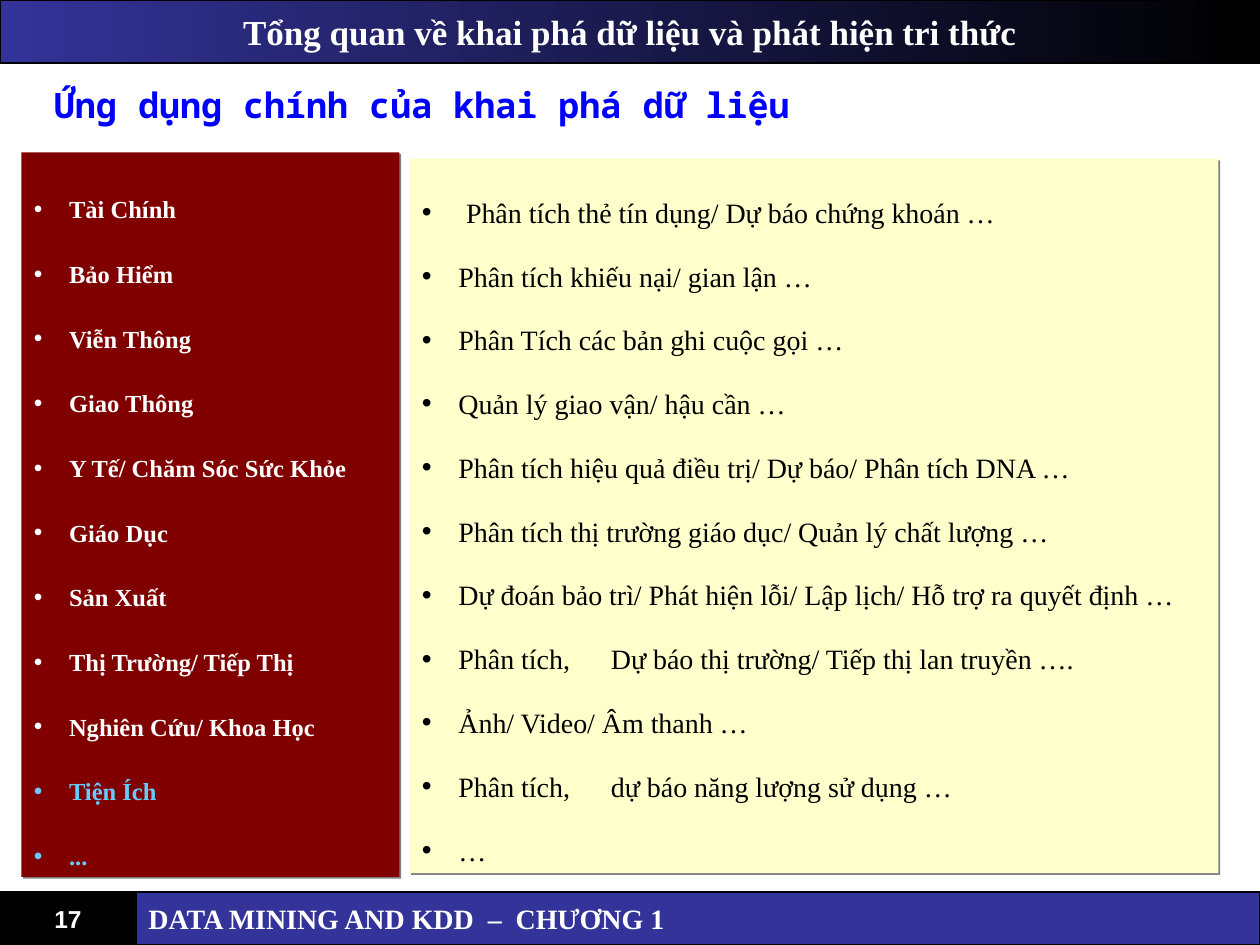
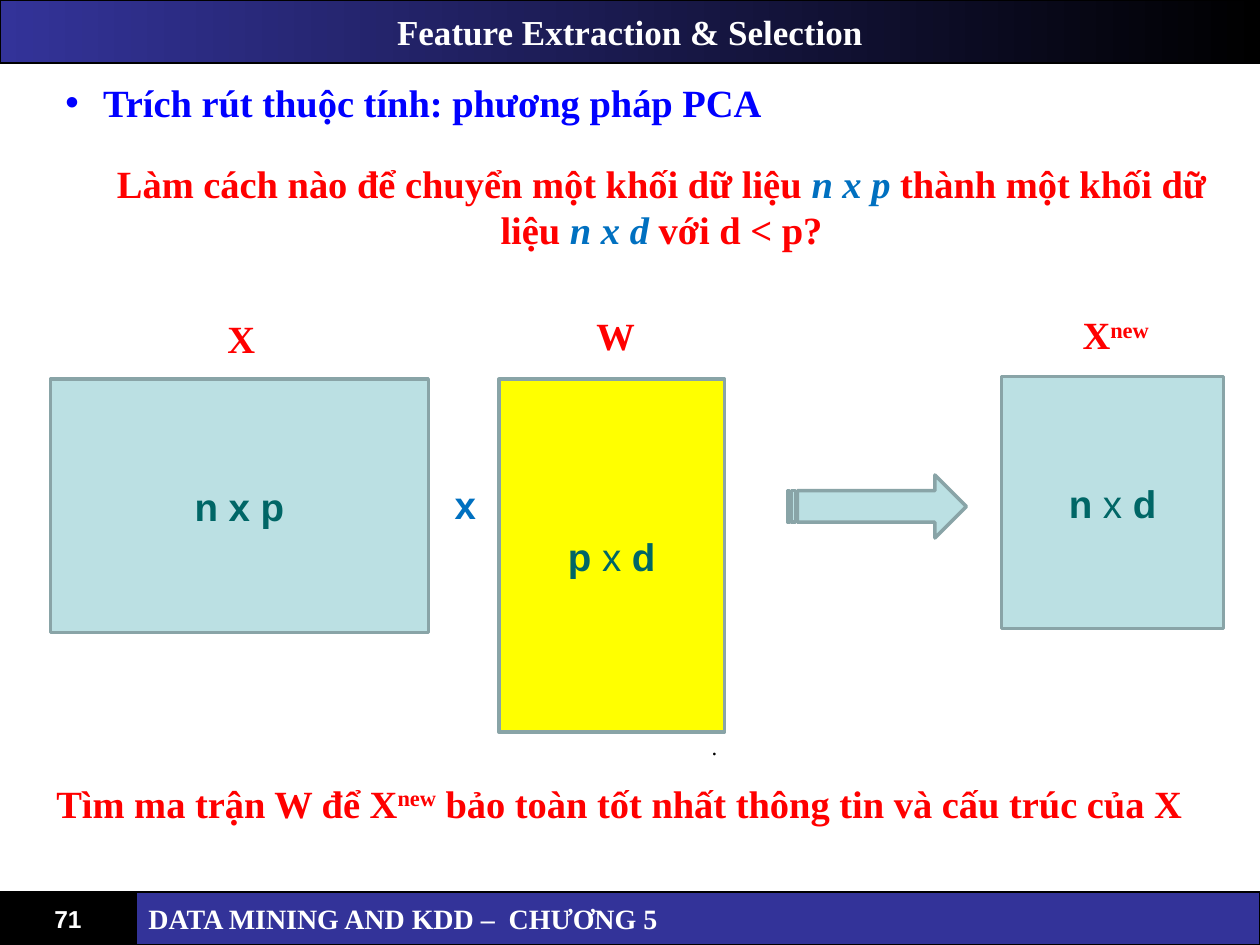
from lxml import etree
from pptx import Presentation
from pptx.dml.color import RGBColor
from pptx.enum.shapes import MSO_SHAPE
from pptx.enum.text import MSO_ANCHOR, PP_ALIGN
from pptx.oxml import ns
from pptx.util import Inches, Pt

COLORS = {
    "black": "000000", "white": "FFFFFF", "navy": "333399", "blue": "0000FF",
    "maroon": "800000", "cream": "FFFFCC", "sky": "66CCFF", "shadow": "808080",
    "red": "FF0000", "math": "0070C0", "teal": "006666", "pale": "BBE0E3",
    "yellow": "FFFF00", "outline": "89A4A7",
}
SERIF, SANS, MONO = "Times New Roman", "Arial", "Noto Sans Mono"

FIELDS = [
    "Tài Chính", "Bảo Hiểm", "Viễn Thông", "Giao Thông",
    "Y Tế/ Chăm Sóc Sức Khỏe", "Giáo Dục", "Sản Xuất",
    "Thị Trường/ Tiếp Thị", "Nghiên Cứu/ Khoa Học", "Tiện Ích", "...",
]
HIGHLIGHTED_FIELDS = FIELDS[-2:]
USES = [
    "Phân tích thẻ tín dụng/ Dự báo chứng khoán …",
    "Phân tích khiếu nại/ gian lận …",
    "Phân Tích các bản ghi cuộc gọi …",
    "Quản lý giao vận/ hậu cần …",
    "Phân tích hiệu quả điều trị/ Dự báo/ Phân tích DNA …",
    "Phân tích thị trường giáo dục/ Quản lý chất lượng …",
    "Dự đoán bảo trì/ Phát hiện lỗi/ Lập lịch/ Hỗ trợ ra quyết định …",
    "Phân tích,\tDự báo thị trường/ Tiếp thị lan truyền ….",
    "Ảnh/ Video/ Âm thanh …",
    "Phân tích,\tdự báo năng lượng sử dụng …",
    "…",
]

# Rich text is a list of (text, style changes) pairs.
FORMULA = {"color": "math", "italic": True}
PLAIN = {"bold": False}
SUPERSCRIPT = {"baseline": 30}
QUESTION = [
    ("Làm cách nào để chuyển một khối dữ liệu ", {}), ("n x p ", FORMULA),
    ("thành một khối dữ liệu ", {}), ("n x d", FORMULA), (" với d < p?", {}),
]
GOAL = [
    ("Tìm ma trận W để X", {}), ("new", SUPERSCRIPT),
    (" bảo toàn tốt nhất thông tin và cấu trúc của X", {}),
]
MATRICES = [  # box, fill, size, label position, label
    ((0.4, 3.01, 3, 2.01), "pale", [("n x p", {})], (1.25, 2.45), [("X", {})]),
    ((3.96, 3.01, 1.79, 2.8), "yellow", [("p ", {}), ("x", PLAIN), (" d", {})],
     (4.22, 2.43), [("W", {})]),
    ((7.95, 2.99, 1.76, 2), "pale", [("n ", {}), ("x", PLAIN), (" d", {})],
     (8.19, 2.42), [("X", {}), ("new", SUPERSCRIPT)]),
]


def rgb(name):
    return RGBColor.from_string(COLORS[name])


def add_element(parent, tag, **attributes):
    element = etree.SubElement(parent, ns.qn(tag))
    for key, value in attributes.items():
        element.set(key, str(value))
    return element


def style_run(run, font, size, color, bold=True, italic=False, baseline=0):
    run.font.name, run.font.size = font, Pt(size)
    run.font.bold, run.font.italic = bold, italic
    run.font.color.rgb = rgb(color)
    if baseline:
        run._r.get_or_add_rPr().set("baseline", str(baseline * 1000))


def write(shape, content, font, size, color, align=PP_ALIGN.LEFT,
          anchor=MSO_ANCHOR.MIDDLE, wrap=True):
    """Fill the first paragraph with a string or with rich text."""
    frame = shape.text_frame
    frame.word_wrap, frame.vertical_anchor = wrap, anchor
    paragraph = frame.paragraphs[0]
    paragraph.alignment = align
    pieces = [(content, {})] if isinstance(content, str) else content
    for text, changes in pieces:
        run = paragraph.add_run()
        run.text = text
        style_run(run, **{"font": font, "size": size, "color": color, **changes})
    return paragraph


def add_text(slide, box, content, size=22, color="red", font=SERIF,
             align=PP_ALIGN.CENTER, anchor=MSO_ANCHOR.TOP, wrap=True):
    shape = slide.shapes.add_textbox(*map(Inches, box))
    return write(shape, content, font, size, color, align, anchor, wrap)


def add_block(slide, box, fill, line=None, width=0.75, kind=MSO_SHAPE.RECTANGLE):
    shape = slide.shapes.add_shape(kind, *map(Inches, box))
    shape.shadow.inherit = False
    shape.fill.solid()
    shape.fill.fore_color.rgb = rgb(fill)
    if line:
        shape.line.color.rgb, shape.line.width = rgb(line), Pt(width)
    else:
        shape.line.fill.background()
    return shape


def add_bullet(paragraph, color, indent, tab=None):
    properties = paragraph._p.get_or_add_pPr()
    properties.set("marL", str(Inches(indent)))
    properties.set("indent", str(-Inches(indent)))
    bullet_color = add_element(properties, "a:buClr")
    add_element(bullet_color, "a:srgbClr", val=COLORS[color])
    add_element(properties, "a:buFont", typeface=SANS)
    add_element(properties, "a:buChar", char="•")
    if tab:
        tabs = add_element(properties, "a:tabLst")
        add_element(tabs, "a:tab", pos=Inches(tab), algn="l")


def add_hard_shadow(shape):
    effects = shape._element.spPr.find(ns.qn("a:effectLst"))
    shadow = add_element(effects, "a:outerShdw", blurRad=0, dist=Pt(1.4),
                         dir=45 * 60000, algn="ctr", rotWithShape=0)
    add_element(shadow, "a:srgbClr", val=COLORS["shadow"])


def add_list_panel(slide, box, fill, items, size, spacing, bold, indent, color_of):
    panel = add_block(slide, box, fill)
    add_hard_shadow(panel)
    frame = panel.text_frame
    frame.word_wrap, frame.vertical_anchor = True, MSO_ANCHOR.MIDDLE
    frame.text = "\n".join(items)
    for item, paragraph in zip(items, frame.paragraphs):
        color = color_of(item)
        add_bullet(paragraph, color, indent, tab=1.5 if "\t" in item else None)
        paragraph.alignment = PP_ALIGN.LEFT
        paragraph.line_spacing = spacing
        for run in paragraph.runs:
            style_run(run, SERIF, size, color, bold)
    return frame


def add_frame_slide(presentation, title, number, footer):
    """Add a blank slide with the title band and the footer."""
    slide = presentation.slides.add_slide(presentation.slide_layouts[6])
    band = add_block(slide, (0, 0, 10, 0.5), "navy", "black")
    band.fill.gradient()
    band.fill.gradient_angle = 0
    for stop, color in zip(band.fill.gradient_stops, ("navy", "black")):
        stop.color.rgb = rgb(color)
    write(band, title, SERIF, 20, "white", PP_ALIGN.CENTER)
    number_box = add_block(slide, (0, 7.08, 1.08, 0.42), "black", "black")
    write(number_box, number, SANS, 14, "white", PP_ALIGN.CENTER)
    footer_band = add_block(slide, (1.08, 7.08, 8.92, 0.42), "navy", "black")
    write(footer_band, footer, SERIF, 16, "white")
    return slide


def build_applications(presentation):
    slide = add_frame_slide(
        presentation, "Tổng quan về khai phá dữ liệu và phát hiện tri thức",
        "17", "DATA MINING AND KDD  –  CHƯƠNG 1")
    add_text(slide, (0.33, 0.58, 8.58, 0.5), "Ứng dụng chính của khai phá dữ liệu",
             20, "blue", MONO, PP_ALIGN.LEFT, MSO_ANCHOR.MIDDLE)
    add_list_panel(slide, (0.17, 1.21, 3, 5.75), "maroon", FIELDS, 14, 2.2, True, 0.28,
                   lambda item: "sky" if item in HIGHLIGHTED_FIELDS else "white")
    uses = add_list_panel(slide, (3.25, 1.26, 6.42, 5.67), "cream", USES, 16, 1.9,
                          False, 0.29, lambda item: "black")
    first = uses.paragraphs[0]._p.get_or_add_pPr()
    first.set("marL", str(Inches(0.35)))
    first.set("indent", str(-Inches(0.35)))


def build_pca(presentation):
    slide = add_frame_slide(presentation, "Feature Extraction & Selection",
                            "71", "DATA MINING AND KDD –  CHƯƠNG 5")
    heading = add_text(slide, (0.42, 0.58, 9.17, 0.47),
                       "Trích rút thuộc tính: phương pháp PCA",
                       color="blue", align=PP_ALIGN.LEFT)
    add_bullet(heading, "blue", 0.3)
    add_text(slide, (0.79, 1.22, 8.92, 0.84), QUESTION)
    for box, fill, size, label_at, label in MATRICES:
        matrix = add_block(slide, box, fill, "outline", 2)
        write(matrix, size, SANS, 22, "teal", PP_ALIGN.CENTER)
        add_text(slide, (*label_at, 1.33, 0.47), label)
    add_text(slide, (3.51, 3.77, 0.35, 0.47), "x", color="math", font=SANS,
             align=PP_ALIGN.LEFT)
    add_block(slide, (6.25, 3.77, 1.42, 0.5), "pale", "outline", 2,
              MSO_SHAPE.STRIPED_RIGHT_ARROW)
    add_text(slide, (5.55, 5.76, 0.24, 0.32), [(".", PLAIN)], 13, "black",
             anchor=MSO_ANCHOR.MIDDLE, wrap=False)
    add_text(slide, (0.23, 6.14, 9.37, 0.47), GOAL)


def main():
    presentation = Presentation()
    presentation.slide_width, presentation.slide_height = Inches(10), Inches(7.5)
    build_applications(presentation)
    build_pca(presentation)
    presentation.save("out.pptx")


if __name__ == "__main__":
    main()
